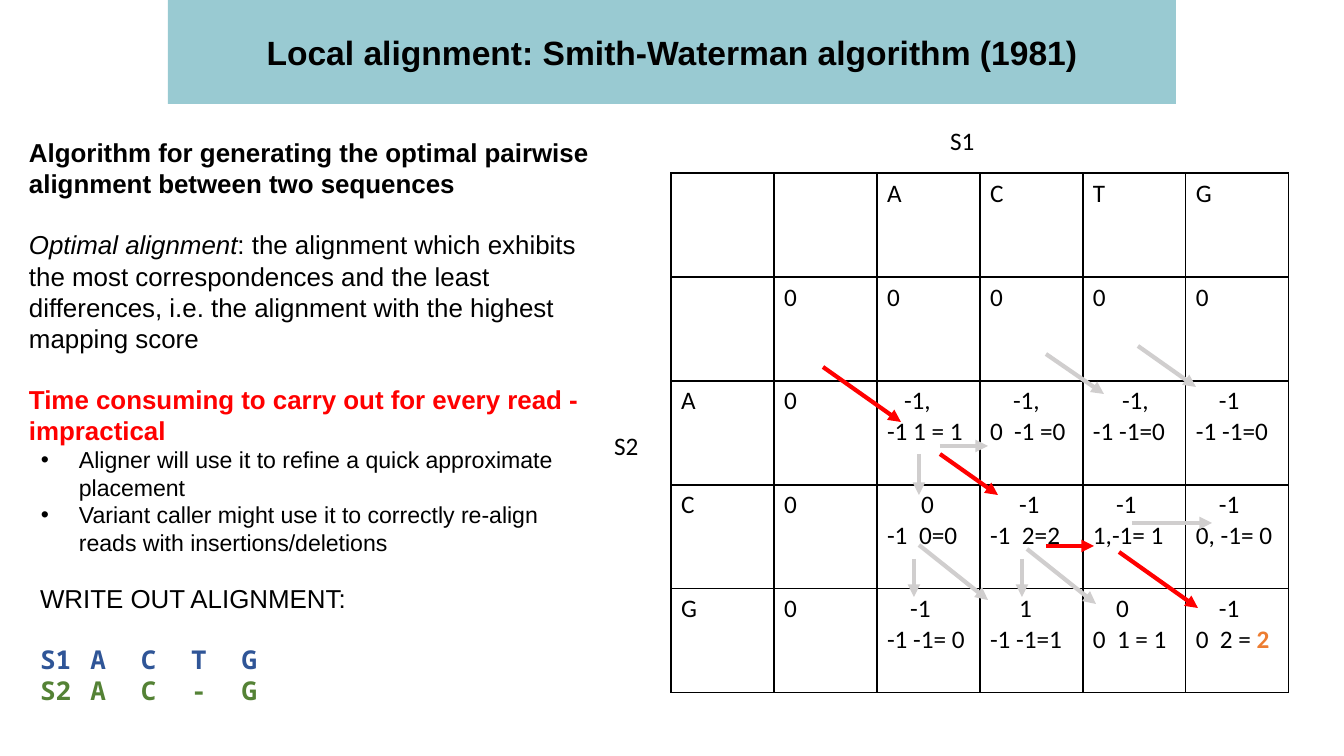
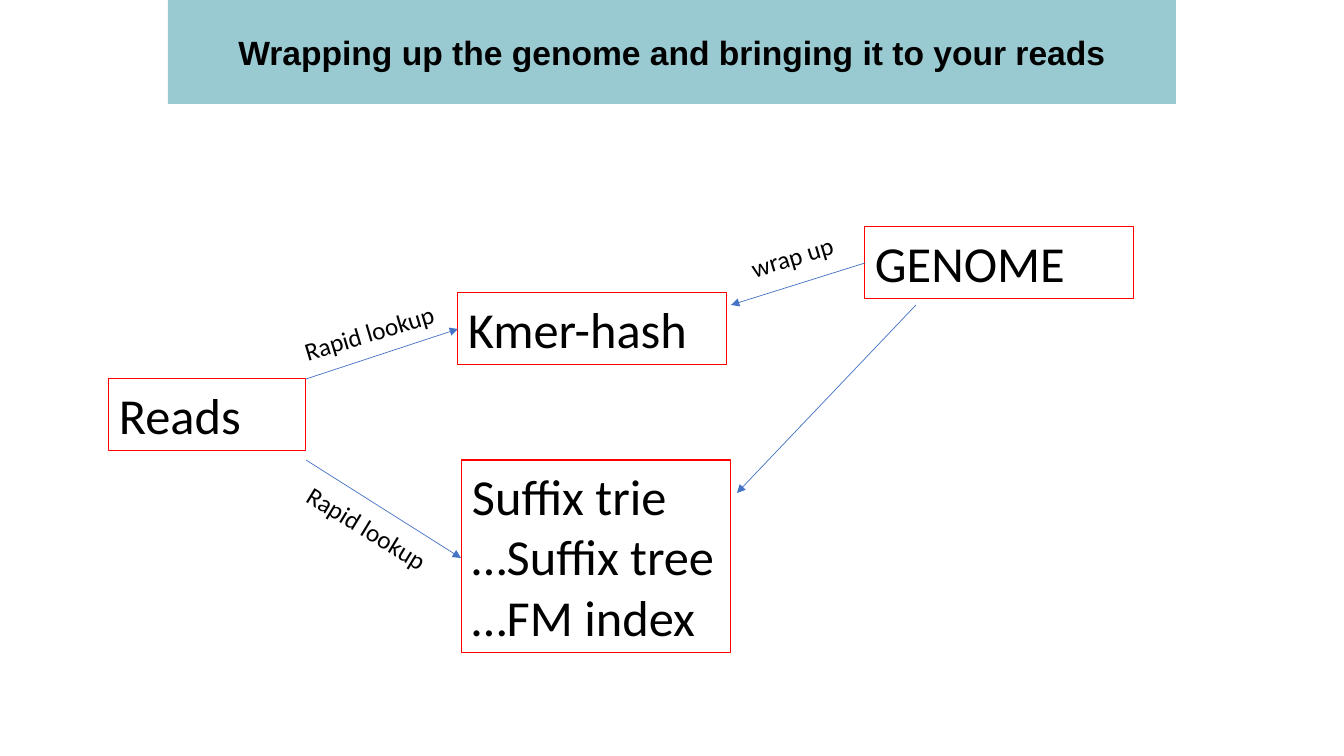
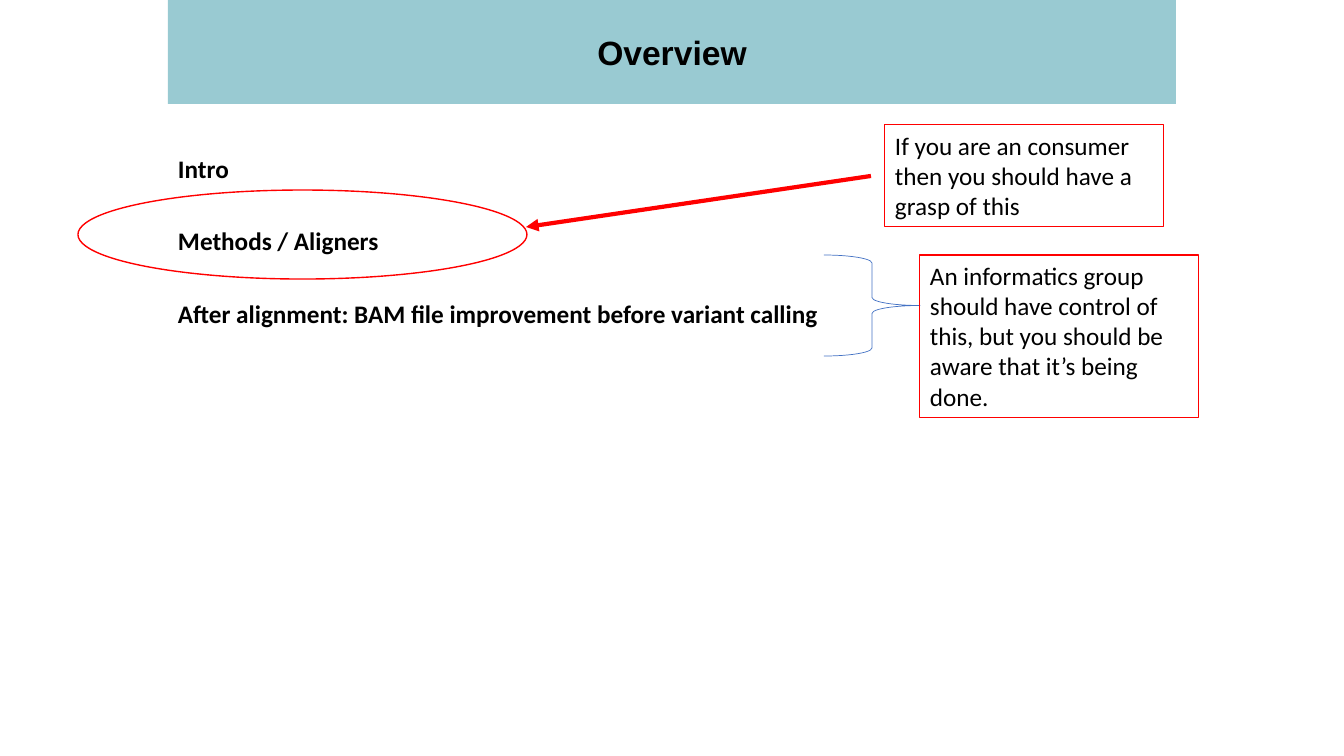
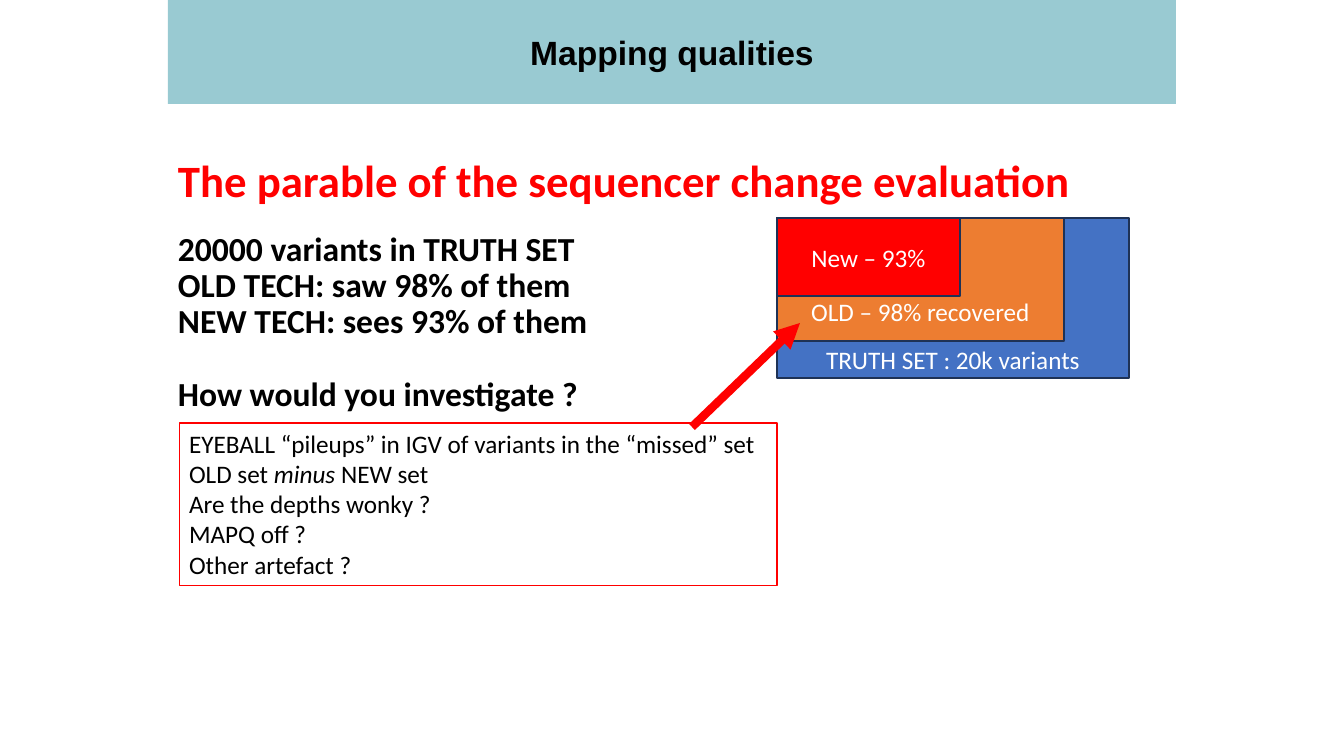
from dataclasses import dataclass, field

from lxml.etree import SubElement
from pptx import Presentation
from pptx.dml.color import RGBColor
from pptx.enum.shapes import MSO_CONNECTOR as Connector, MSO_SHAPE as Preset
from pptx.enum.text import MSO_ANCHOR as Anchor, PP_ALIGN as Align
from pptx.oxml.ns import qn
from pptx.util import Emu, Pt


class Theme:
    black, white, red = "000000", "FFFFFF", "FF0000"
    band, grey = "99CAD2", "D0CECE"
    blue, orange, navy = "4472C4", "ED7D31", "1E3256"
    dark_blue, green = "2F5597", "548235"
    sans, body, mono = "Arial", "Calibri", "Noto Sans Mono"
    bullet_size, body_size, lead_size = 16.5, 18, 18.5
    title_size, heading_size, node_size = 24, 32, 36
    hairline, outline, border, arrow, thick = 0.5, 0.75, 1, 3, 6


@dataclass
class Run:
    text: str
    italic: bool = False
    bold: bool = False
    color: str = ""


@dataclass
class Para:
    """One paragraph; content is a string or a list of Run. Lengths are px, spacing is points."""
    content: object
    size: float = Theme.body_size
    font: str = Theme.body
    color: str = Theme.black
    bold: bool = False
    align: object = Align.LEFT
    before: float = 0
    line_spacing: float = 1
    indent: int = 0
    hanging: int = 0
    tab: int = 0

    def runs(self):
        return [Run(self.content)] if isinstance(self.content, str) else self.content


@dataclass
class Insets:
    left: int = 10
    top: int = 5
    right: int = 10
    bottom: int = 5


def px(length):
    return Emu(round(length * 914400 / 100.8))


def rgb(color):
    return RGBColor.from_string(color)


def add_color(parent, tag, color):
    SubElement(SubElement(parent, qn(tag)), qn("a:srgbClr")).set("val", color)


def write(frame, paragraphs):
    for index, spec in enumerate(paragraphs):
        paragraph = frame.add_paragraph() if index else frame.paragraphs[0]
        properties = paragraph._p.get_or_add_pPr()
        if spec.indent:
            properties.set("marL", str(px(spec.indent)))
            properties.set("indent", str(px(-spec.hanging)))
        if spec.hanging:
            add_color(properties, "a:buClr", Theme.black)
            SubElement(properties, qn("a:buFont")).set("typeface", Theme.sans)
            SubElement(properties, qn("a:buChar")).set("char", "•")
        if spec.tab:
            stop = SubElement(SubElement(properties, qn("a:tabLst")), qn("a:tab"))
            stop.set("pos", str(px(spec.tab)))
            stop.set("algn", "l")
        paragraph.alignment = spec.align
        paragraph.line_spacing = float(spec.line_spacing)
        if spec.before:
            paragraph.space_before = Pt(spec.before)
        for part in spec.runs():
            run = paragraph.add_run()
            run.text = part.text
            run.font.name = spec.font
            run.font.size = Pt(spec.size)
            run.font.bold = spec.bold or part.bold
            run.font.italic = part.italic
            run.font.color.rgb = rgb(part.color or spec.color)


class Deck:
    def __init__(self):
        self.presentation = Presentation()
        self.presentation.slide_width = px(1344)
        self.presentation.slide_height = px(756)
        self.slide = None

    def new_slide(self, title):
        self.slide = self.presentation.slides.add_slide(self.presentation.slide_layouts[6])
        heading = Para(title, Theme.title_size, Theme.sans, bold=True, align=Align.CENTER)
        self.shape((168, 0, 1008, 104), [heading], fill=Theme.band, anchor=Anchor.MIDDLE)

    def frame(self, shape, paragraphs, anchor=Anchor.TOP, insets=Insets(), wrap=True):
        frame = shape.text_frame
        frame.word_wrap = wrap
        frame.vertical_anchor = anchor
        frame.margin_left, frame.margin_right = px(insets.left), px(insets.right)
        frame.margin_top, frame.margin_bottom = px(insets.top), px(insets.bottom)
        write(frame, paragraphs)

    def text(self, box, paragraphs, rotation=0, wrap=True):
        shape = self.slide.shapes.add_textbox(*map(px, box))
        shape.rotation = rotation
        self.frame(shape, paragraphs, wrap=wrap)

    def shape(self, box, paragraphs=(), preset=Preset.RECTANGLE, fill=None, line=None,
              width=Theme.outline, anchor=Anchor.TOP, insets=Insets()):
        shape = self.slide.shapes.add_shape(preset, *map(px, box))
        shape.shadow.inherit = False
        if fill:
            shape.fill.solid()
            shape.fill.fore_color.rgb = rgb(fill)
        else:
            shape.fill.background()
        if line:
            shape.line.color.rgb = rgb(line)
            shape.line.width = Pt(width)
        else:
            shape.line.fill.background()
        self.frame(shape, paragraphs, anchor, insets)

    def red_box(self, box, paragraphs):
        self.shape(box, paragraphs, line=Theme.red)

    def arrow(self, start, end, color=Theme.red, width=Theme.arrow):
        ends = map(px, (*start, *end))
        connector = self.slide.shapes.add_connector(Connector.STRAIGHT, *ends)
        connector.line.color.rgb = rgb(color)
        connector.line.width = Pt(width)
        properties = connector._element.spPr
        SubElement(properties.find(qn("a:ln")), qn("a:tailEnd")).set("type", "triangle")
        SubElement(properties, qn("a:effectLst"))

    def table(self, left, top, column_width, row_height, rows):
        row_count, column_count = len(rows), len(rows[0])
        size = (column_width * column_count, row_height * row_count)
        table = self.slide.shapes.add_table(
            row_count, column_count, *map(px, (left, top, *size))).table
        table.first_row = table.horz_banding = False
        for column in table.columns:
            column.width = px(column_width)
        for row, contents in zip(table.rows, rows):
            row.height = px(row_height)
            for cell, paragraphs in zip(row.cells, contents):
                cell.fill.background()
                self.cell_borders(cell)
                write(cell.text_frame, paragraphs)

    def cell_borders(self, cell):
        properties = cell._tc.get_or_add_tcPr()
        for index, side in enumerate(("a:lnL", "a:lnR", "a:lnT", "a:lnB")):
            line = SubElement(properties, qn(side))
            line.set("w", str(Pt(Theme.border)))
            add_color(line, "a:solidFill", Theme.black)
            properties.insert(index, line)


def score(indent, diagonal, *runs):
    """Cell of the scoring matrix: the diagonal score above, the other scores and the best below."""
    others = [Run(run) if isinstance(run, str) else run for run in runs]
    tab = 0
    if "\t" in others[0].text:
        tab = 32 if others[0].text.startswith("-") else 24
    return [Para(diagonal, indent=indent), Para(others, tab=tab)]


def alignment_slide(deck):
    deck.new_slide("Local alignment: Smith-Waterman algorithm (1981)")
    gap = 21.3

    def lead(content, **style):
        return Para(content, Theme.lead_size, **{"font": Theme.sans, **style})

    def bullet(content):
        return Para(content, Theme.bullet_size, Theme.sans, indent=50, hanging=38)

    deck.text((40 - 10, 578, 648, 168), [
        lead("WRITE OUT ALIGNMENT:"),
        lead("S1\tA\tC\tT\tG", font=Theme.mono, color=Theme.dark_blue, bold=True, before=gap),
        lead("S2\tA\tC\t-\tG", font=Theme.mono, color=Theme.green, bold=True),
    ])

    def plain(letters):
        return [[Para(letter)] if letter else [] for letter in letters]

    best = Run("2", bold=True, color=Theme.orange)
    deck.table(671, 173, 103, 104, [
        plain(["", "", "A", "C", "T", "G"]),
        plain(["", "0", "0", "0", "0", "0"]),
        plain("A0") + [score(17, "-1,", "-1 1 = 1"), score(23, "-1,", "0\t-1 =0"),
                       score(29, "-1,", "-1 -1=0"), score(23, "-1", "-1 -1=0")],
        plain("C0") + [score(34, "0", "-1\t0=0"), score(29, "-1", "-1\t2=2"),
                       score(23, "-1", "1,-1= 1"), score(23, "-1", "0, -1= 0")],
        plain("G0") + [score(23, "-1", "-1 -1= 0"), score(29, "1", "-1 -1=1"),
                       score(23, "0", "0\t1 = 1"), score(23, "-1", "0\t2 = ", best)],
    ])

    other_steps = [
        ((919, 454), (919, 495)), ((940, 446), (988, 446)), ((919, 545), (988, 600)),
        ((1027, 549), (1096, 604)), ((1132, 523), (1212, 523)), ((914, 559), (914, 597)),
        ((1138, 346), (1196, 387)), ((1022, 559), (1022, 597)), ((1046, 354), (1104, 394)),
    ]
    best_steps = [
        ((823, 367), (901, 422)), ((940, 454), (998, 495)),
        ((1119, 552), (1198, 608)), ((1046, 546), (1094, 546)),
    ]
    for color, steps in ((Theme.grey, other_steps), (Theme.red, best_steps)):
        for start, end in steps:
            deck.arrow(start, end, color)

    deck.text((940, 120, 73, 40), [Para("S1")])
    deck.text((604, 425, 73, 40), [Para("S2")])
    deck.text((19, 132, 584, 222), [
        lead("Algorithm for generating the optimal pairwise alignment between two sequences",
             bold=True),
        lead([Run("Optimal alignment", italic=True),
              Run(": the alignment which exhibits the most correspondences and the least "
                  "differences, i.e. the alignment with the highest mapping score")], before=gap),
        lead("Time consuming to carry out for every read - impractical",
             color=Theme.red, bold=True, before=gap),
        bullet("Aligner will use it to refine a quick approximate placement"),
        bullet("Variant caller might use it to correctly re-align reads with "
               "insertions/deletions"),
    ])


def genome_slide(deck):
    deck.new_slide("Wrapping up the genome and bringing it to your reads")
    nodes = [
        ((865, 227, 269, 72), ["GENOME"]),
        ((109, 379, 197, 72), ["Reads"]),
        ((458, 293, 269, 72), ["Kmer-hash"]),
        ((462, 460, 269, 193), ["Suffix trie", "…Suffix tree", "…FM index"]),
    ]
    for box, lines in nodes:
        deck.red_box(box, [Para(line, Theme.node_size) for line in lines])
    links = [
        ((865, 263), (731, 305)), ((306, 379), (458, 329)),
        ((916, 305), (737, 493)), ((306, 460), (461, 558)),
    ]
    for start, end in links:
        deck.arrow(start, end, Theme.blue, Theme.hairline)
    labels = [
        ((740, 236, 105, 40), "wrap up", 343.2),
        ((292, 312, 155, 40), "Rapid lookup", 343.2),
        ((290, 508, 155, 40), "Rapid lookup", 31.4),
    ]
    for box, label, rotation in labels:
        deck.text(box, [Para(label)], rotation, wrap=False)


def overview_slide(deck):
    deck.new_slide("Overview")
    topics = ["Intro", "Methods / Aligners",
              "After alignment: BAM file improvement before variant calling"]
    deck.text((168, 142, 889, 494), [
        Para(topic, bold=True, line_spacing=1.2, before=26 if index else 0)
        for index, topic in enumerate(topics)
    ])
    deck.shape((78, 190, 449, 89), preset=Preset.OVAL, line=Theme.red, width=Theme.border)
    deck.arrow((871, 176), (526, 227))
    deck.red_box((885, 125, 279, 102),
                 [Para("If you are an consumer then you should have a grasp of this")])
    deck.shape((824, 255, 96, 101), preset=Preset.RIGHT_BRACE,
               line=Theme.blue, width=Theme.hairline)
    deck.red_box((920, 255, 279, 163),
                 [Para("An informatics group should have control of this, but you should be "
                       "aware that it’s being done.")])


def quality_slide(deck):
    deck.new_slide("Mapping qualities")

    def statement(content, size=Theme.title_size, color=Theme.black, before=0):
        return Para(content, size, color=color, bold=True, line_spacing=0.9, before=before)

    deck.text((168, 154, 1030, 291), [
        statement("The parable of the sequencer change evaluation",
                  Theme.heading_size, Theme.red),
        statement("20000 variants in TRUTH SET", before=17.6),
        statement("OLD TECH: saw 98% of them"),
        statement("NEW TECH: sees 93% of them"),
        statement("How would you investigate ?", before=26.4),
    ])
    nested_sets = [
        ("TRUTH SET : 20k variants", 352, 160, Theme.blue, Anchor.BOTTOM, 3),
        ("OLD – 98% recovered", 287, 123, Theme.orange, Anchor.BOTTOM, 14),
        ("New – 93%", 183, 78, Theme.red, Anchor.MIDDLE, 5),
    ]
    for label, width, height, fill, anchor, bottom in nested_sets:
        deck.shape((777, 218, width, height),
                   [Para(label, color=Theme.white, align=Align.CENTER)],
                   fill=fill, line=Theme.navy, width=Theme.border,
                   anchor=anchor, insets=Insets(bottom=bottom))
    deck.red_box((179, 423, 598, 163), [
        Para("EYEBALL “pileups” in IGV of variants in the “missed” set"),
        Para([Run("OLD set "), Run("minus", italic=True), Run(" NEW set")]),
        Para("Are the depths wonky ?"),
        Para("MAPQ off ?"),
        Para("Other artefact ?"),
    ])
    deck.arrow((692, 427), (800, 323), width=Theme.thick)


def main():
    deck = Deck()
    for build in (alignment_slide, genome_slide, overview_slide, quality_slide):
        build(deck)
    deck.presentation.save("out.pptx")


if __name__ == "__main__":
    main()
